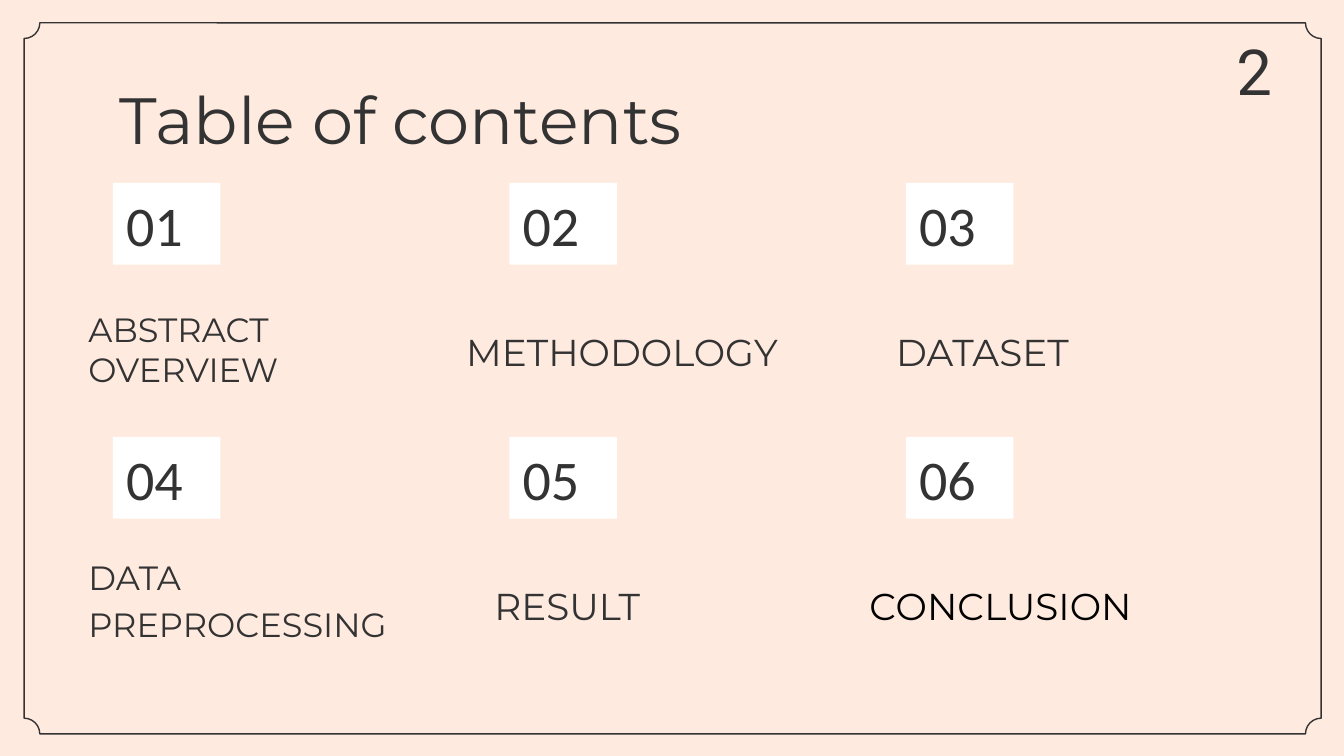
from dataclasses import dataclass

from pptx import Presentation
from pptx.dml.color import RGBColor
from pptx.enum.shapes import MSO_SHAPE
from pptx.enum.text import MSO_ANCHOR, MSO_AUTO_SIZE, PP_ALIGN
from pptx.util import Inches, Pt

PEACH = RGBColor(0xFF, 0xEA, 0xE0)
WHITE = RGBColor(0xFF, 0xFF, 0xFF)
CHARCOAL = RGBColor(0x33, 0x33, 0x33)
BLACK = RGBColor(0x00, 0x00, 0x00)

# Widescreen slide
SLIDE_WIDTH = 10
SLIDE_HEIGHT = SLIDE_WIDTH * 9 / 16

# Number tile grid
COLUMNS = 3
GRID_LEFT, GRID_TOP = 0.84, 1.36
COLUMN_STEP, ROW_STEP = 2.95, 1.89
TILE_WIDTH, TILE_HEIGHT = 0.8, 0.61


@dataclass(frozen=True)
class Topic:
    label: str
    left: float
    top: float
    width: float
    height: float
    size: int = 20
    color: RGBColor = CHARCOAL
    spacing: float = 1.0


TOPICS = [
    Topic("ABSTRACT OVERVIEW", 0.56, 2.23, 2.81, 0.77, size=18),
    Topic("METHODOLOGY", 3.37, 2.35, 2.6, 0.53),
    Topic("DATASET", 6.57, 2.35, 2.42, 0.53),
    Topic("DATA PREPROCESSING", 0.56, 4.12, 2.42, 0.77, size=18, spacing=1.15),
    Topic("RESULT", 3.58, 4, 2.99, 0.77, spacing=1.15),
    Topic("CONCLUSION", 6.37, 4.24, 2.42, 0.53, color=BLACK, spacing=1.15),
]


def write(s, text: str, font: str, size: int, color: RGBColor = CHARCOAL,
          anchor: MSO_ANCHOR = MSO_ANCHOR.TOP, spacing: float = 1.0) -> None:
    """Fill a shape with one left-aligned paragraph."""
    tf = s.text_frame
    frame_format = {"word_wrap": True, "auto_size": MSO_AUTO_SIZE.NONE,
                    "vertical_anchor": anchor}
    for side in ("left", "top", "right", "bottom"):
        frame_format[f"margin_{side}"] = Inches(0.1)
    for name, value in frame_format.items():
        setattr(tf, name, value)
    p = tf.paragraphs[0]
    p.alignment = PP_ALIGN.LEFT
    p.line_spacing = spacing
    r = p.add_run()
    r.text = text
    for name, value in {"name": font, "size": Pt(size), "bold": False}.items():
        setattr(r.font, name, value)
    r.font.color.rgb = color


def add_tile(slide, index: int) -> None:
    row, column = divmod(index, COLUMNS)
    s = slide.shapes.add_shape(
        MSO_SHAPE.RECTANGLE,
        Inches(GRID_LEFT + column * COLUMN_STEP), Inches(GRID_TOP + row * ROW_STEP),
        Inches(TILE_WIDTH), Inches(TILE_HEIGHT))
    s.shadow.inherit = False
    s.fill.solid()
    s.fill.fore_color.rgb = WHITE
    s.line.fill.background()
    write(s, f"{index + 1:02}", "Calibri", 30, anchor=MSO_ANCHOR.MIDDLE)


def add_topic(slide, topic: Topic) -> None:
    s = slide.shapes.add_textbox(Inches(topic.left), Inches(topic.top),
                                 Inches(topic.width), Inches(topic.height))
    write(s, topic.label, "Montserrat", topic.size, topic.color,
          MSO_ANCHOR.BOTTOM, topic.spacing)


def add_frame(slide) -> None:
    s = slide.shapes.add_shape(MSO_SHAPE.PLAQUE, Inches(0.18), Inches(0.17),
                               Inches(9.65), Inches(5.29))
    s.adjustments[0] = 0.022
    s.shadow.inherit = False
    s.fill.background()
    s.line.color.rgb = CHARCOAL
    s.line.width = Pt(0.75)


def main() -> None:
    prs = Presentation()
    prs.slide_width, prs.slide_height = Inches(SLIDE_WIDTH), Inches(SLIDE_HEIGHT)
    slide = prs.slides.add_slide(prs.slide_layouts[5])
    slide.background.fill.solid()
    slide.background.fill.fore_color.rgb = PEACH

    # Border and title
    add_frame(slide)
    title = slide.shapes.title
    box = {"left": 0.79, "top": 0.49, "width": 8.43, "height": 0.63}
    for name, value in box.items():
        setattr(title, name, Inches(value))
    write(title, "Table of contents", "Montserrat", 35)

    # Numbered topics
    for index in range(len(TOPICS)):
        add_tile(slide, index)
    for topic in TOPICS:
        add_topic(slide, topic)

    # Page number
    page = slide.shapes.add_textbox(Inches(9.1), Inches(0.14), Inches(3.28), Inches(0.77))
    write(page, "2", "Roboto", 34)

    prs.save("out.pptx")


if __name__ == "__main__":
    main()
